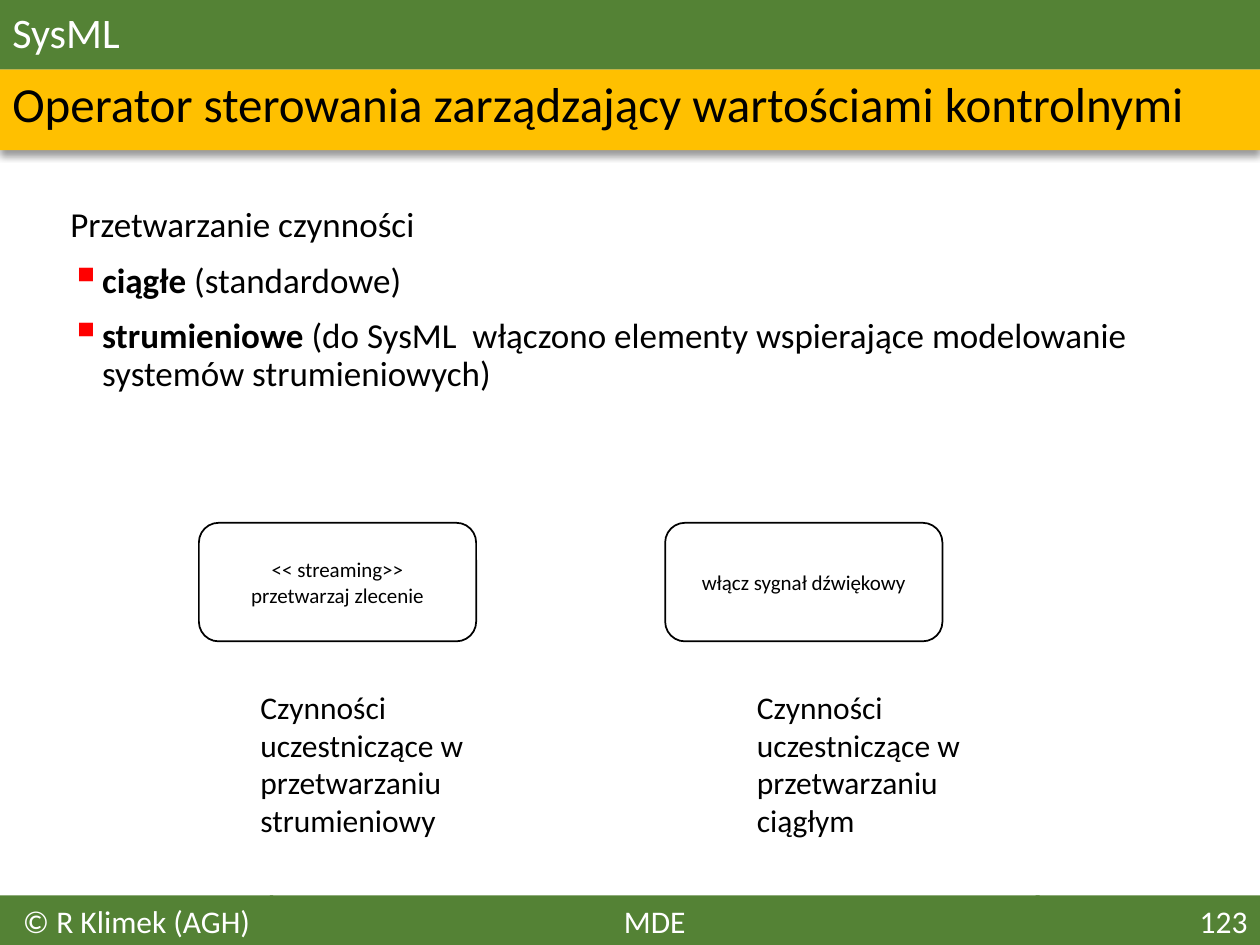
import pptx
import pptx.dml.color
import pptx.enum.shapes
import pptx.enum.text
import pptx.oxml
import pptx.oxml.ns
import pptx.util

Cm = pptx.util.Cm
Pt = pptx.util.Pt
RGBColor = pptx.dml.color.RGBColor
MSO_SHAPE = pptx.enum.shapes.MSO_SHAPE
PP_ALIGN = pptx.enum.text.PP_ALIGN
MSO_ANCHOR = pptx.enum.text.MSO_ANCHOR

BLACK = RGBColor(0x00, 0x00, 0x00)
WHITE = RGBColor(0xFF, 0xFF, 0xFF)
GREEN = RGBColor(0x54, 0x82, 0x35)
AMBER = RGBColor(0xFF, 0xC0, 0x00)
RED = RGBColor(0xFF, 0x00, 0x00)


class SlideBuilder:
    font = "Calibri"

    def __init__(self, slide):
        self.slide = slide

    def add_runs(self, sp, paragraphs, size, color=BLACK, align=PP_ALIGN.LEFT,
                 anchor=MSO_ANCHOR.TOP, spacing=None, before=None):
        tf = sp.text_frame
        tf.word_wrap = True
        tf.vertical_anchor = anchor
        for i, runs in enumerate(paragraphs):
            p = tf.add_paragraph() if i else tf.paragraphs[0]
            p.alignment = align
            if spacing:
                p.line_spacing = spacing
            if before:
                p.space_before = Pt(before)
            for text, bold in runs:
                r = p.add_run()
                r.text = text
                r.font.name = self.font
                r.font.size = Pt(size)
                r.font.bold = bold
                r.font.color.rgb = color
        return sp

    def shape(self, kind, box, fill=None, line=None):
        sp = self.slide.shapes.add_shape(kind, *map(Cm, box))
        sp.shadow.inherit = False
        if fill is None:
            sp.fill.background()
        else:
            sp.fill.solid()
            sp.fill.fore_color.rgb = fill
        if line is None:
            sp.line.fill.background()
        else:
            sp.line.color.rgb = line
            sp.line.width = Pt(1)
        return sp

    def bar(self, box, fill):
        return self.shape(MSO_SHAPE.RECTANGLE, box, fill=fill)

    def activity(self, box, lines):
        sp = self.shape(MSO_SHAPE.ROUNDED_RECTANGLE, box, line=BLACK)
        self.add_runs(sp, [[(text, False)] for text in lines], 12,
                      align=PP_ALIGN.CENTER, anchor=MSO_ANCHOR.MIDDLE)

    def text(self, box, paragraphs, size, **style):
        sp = self.slide.shapes.add_textbox(*map(Cm, box))
        return self.add_runs(sp, paragraphs, size, **style)

    def drop_shadow(self, sp):
        effects = sp._element.spPr.find(pptx.oxml.ns.qn("a:effectLst"))
        effects.append(pptx.oxml.parse_xml(
            f'<a:outerShdw {pptx.oxml.ns.nsdecls("a")} blurRad="{Pt(4)}" '
            f'dist="{Pt(3)}" dir="5400000" algn="t" rotWithShape="0">'
            f'<a:srgbClr val="{BLACK}"><a:alpha val="40000"/></a:srgbClr>'
            '</a:outerShdw>'))

    def bullet(self, p):
        pPr = p._p.get_or_add_pPr()
        indent = Cm(0.64)
        pPr.set("marL", str(indent))
        pPr.set("indent", str(-indent))
        for xml in (f'<a:buClr {{}}><a:srgbClr val="{RED}"/></a:buClr>',
                    '<a:buSzPct {} val="120000"/>',
                    '<a:buChar {} char="▪"/>'):
            pPr.append(pptx.oxml.parse_xml(xml.format(pptx.oxml.ns.nsdecls("a"))))


def main():
    prs = pptx.Presentation()
    prs.slide_width, prs.slide_height = Cm(25.4), Cm(19.05)
    s = SlideBuilder(prs.slides.add_slide(prs.slide_layouts[6]))

    s.drop_shadow(s.bar((0, 1.4, 25.4, 1.63), AMBER))
    s.text((0, 1.4, 25.35, 1.5),
           [[("Operator sterowania zarządzający wartościami kontrolnymi", False)]],
           28, anchor=MSO_ANCHOR.MIDDLE, spacing=0.9)
    s.add_runs(s.bar((0, 0, 25.4, 1.4), GREEN), [[("SysML", False)]], 24,
               color=WHITE, anchor=MSO_ANCHOR.MIDDLE, spacing=0.9)

    for left, width, text, align in (
            (5.44, 15.52, "MDE", PP_ALIGN.CENTER),
            (0, 5.51, "© R Klimek (AGH)", PP_ALIGN.CENTER),
            (20.88, 4.52, "123", PP_ALIGN.RIGHT)):
        s.add_runs(s.bar((left, 18.05, width, 1), GREEN), [[(text, False)]], 18,
                   color=WHITE, align=align)

    body = s.text((1.17, 4.06, 22.86, 4.09), [
        [("Przetwarzanie czynności", False)],
        [("ciągłe ", True), ("(standardowe)", False)],
        [("strumieniowe", True),
         (" (do SysML  włączono elementy wspierające modelowanie "
          "systemów strumieniowych)", False)],
    ], 20, spacing=0.9, before=10)
    for p in body.text_frame.paragraphs[1:]:
        s.bullet(p)

    for box_left, lines, label_left, label_width, kind in (
            (4.01, ("<< streaming>>", "przetwarzaj zlecenie"),
             5, 6.6, "strumieniowy"),
            (13.41, ("włącz sygnał dźwiękowy",), 15.01, 4.8, "ciągłym")):
        s.activity((box_left, 10.54, 5.59, 2.39), lines)
        s.text((label_left, 13.74, label_width, 3.33),
               [[(f"Czynności uczestniczące w przetwarzaniu {kind}", False)]], 18)

    prs.save("out.pptx")


if __name__ == "__main__":
    main()
